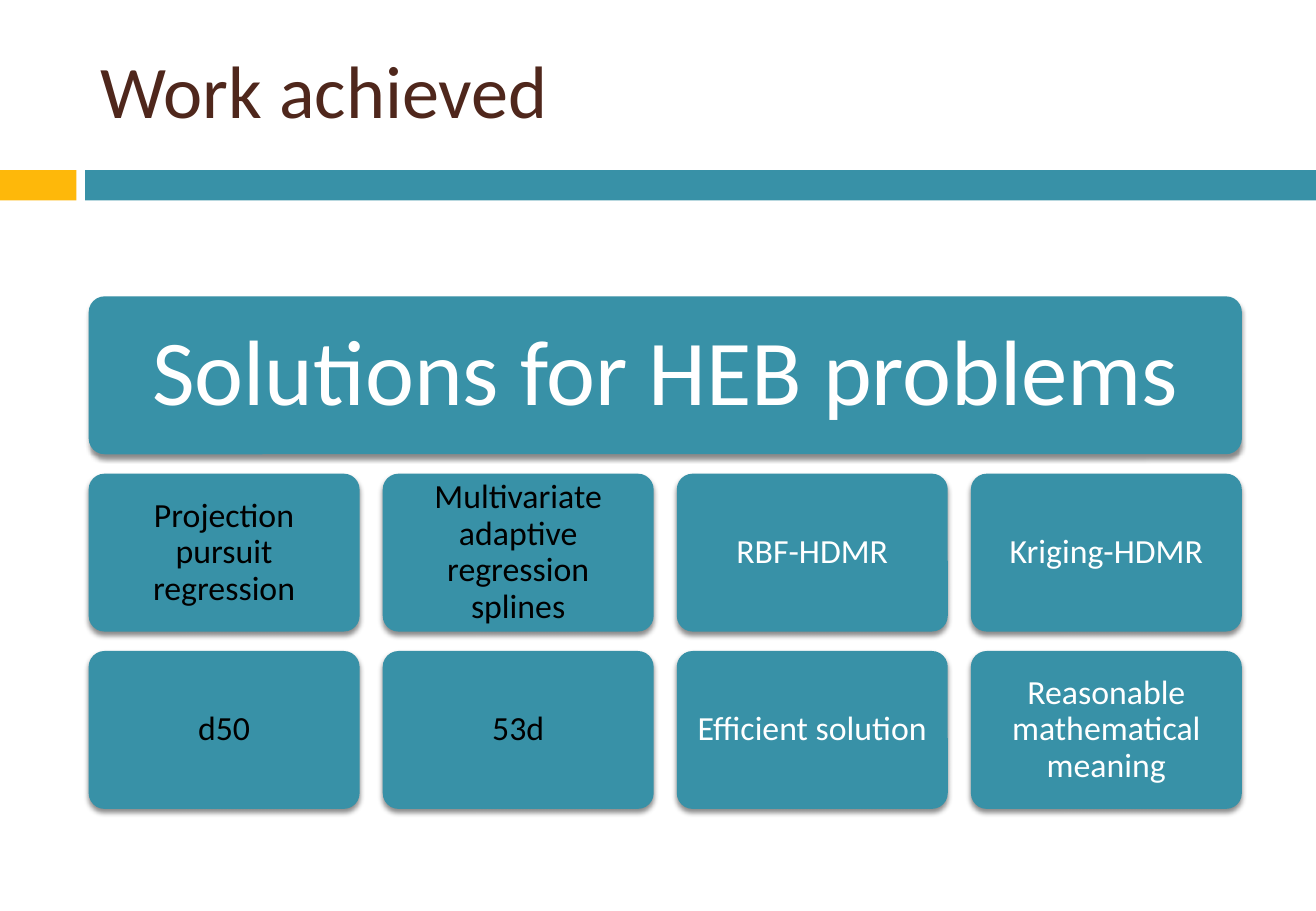
from dataclasses import dataclass

from lxml.etree import SubElement
from pptx import Presentation
from pptx.dml.color import RGBColor
from pptx.enum.shapes import MSO_SHAPE as Preset
from pptx.enum.text import MSO_ANCHOR as Anchor, PP_ALIGN as Align
from pptx.oxml.ns import qn
from pptx.shapes.autoshape import Shape
from pptx.slide import Slide
from pptx.text.text import TextFrame
from pptx.util import Inches, Pt

COLORS = {
    "gold": "FEB80A",
    "teal": "3891A7",
    "brown": "4F271C",
    "black": "000000",
    "white": "FFFFFF",
}
FONT = "Calibri"

GRID_LEFT, GRID_TOP = 0.73, 2.44
CARD_WIDTH, CARD_HEIGHT = 2.23, 1.3
COLUMN_STEP, ROW_STEP = 2.42, 1.46
BANNER_WIDTH = 9.49


@dataclass(frozen=True)
class Box:
    left: float
    top: float
    width: float
    height: float

    def emu(self) -> tuple[int, ...]:
        return tuple(Inches(v) for v in (self.left, self.top, self.width, self.height))


@dataclass(frozen=True)
class Card:
    text: str
    box: Box
    color: str
    size: int = 20
    inset: float = 0.08


@dataclass(frozen=True)
class Method:
    name: str
    result: str
    color: str


METHODS = [
    Method("Projection pursuit regression", "d50", "black"),
    Method("Multivariate adaptive regression splines", "53d", "black"),
    Method("RBF-HDMR", "Efficient solution", "white"),
    Method("Kriging-HDMR", "Reasonable mathematical meaning", "white"),
]


def rgb(name: str) -> RGBColor:
    return RGBColor.from_string(COLORS[name])


def set_format(target: object, values: dict[str, object]) -> None:
    for name, value in values.items():
        setattr(target, name, value)


def write_text(frame: TextFrame, text: str, size: int, color: str,
               align: Align, spacing: float = 1.0) -> None:
    frame.text = text
    set_format(frame, {"word_wrap": True, "vertical_anchor": Anchor.MIDDLE})
    paragraph = frame.paragraphs[0]
    set_format(paragraph, {"alignment": align, "line_spacing": spacing})
    font = paragraph.runs[0].font
    set_format(font, {"name": FONT, "size": Pt(size)})
    font.color.rgb = rgb(color)


def add_block(slide: Slide, preset: Preset, box: Box, color: str) -> Shape:
    """Add a filled shape with neither outline nor shadow."""
    block = slide.shapes.add_shape(preset, *box.emu())
    block.shadow.inherit = False
    block.fill.solid()
    block.fill.fore_color.rgb = rgb(color)
    block.line.fill.background()
    return block


def add_drop_shadow(block: Shape) -> None:
    effects = block._element.spPr.find(qn("a:effectLst"))
    shadow = SubElement(effects, qn("a:outerShdw"), blurRad=str(Pt(3)),
                        dist=str(Pt(2.4)), dir="5400000", rotWithShape="0")
    tint = SubElement(shadow, qn("a:srgbClr"), val=COLORS["black"])
    SubElement(tint, qn("a:alpha"), val="45000")


def add_card(slide: Slide, card: Card) -> None:
    block = add_block(slide, Preset.ROUNDED_RECTANGLE, card.box, "teal")
    block.adjustments[0] = 0.1
    add_drop_shadow(block)
    sides = ("left", "top", "right", "bottom")
    set_format(block.text_frame,
               {f"margin_{side}": Inches(card.inset) for side in sides})
    write_text(block.text_frame, card.text, card.size, card.color, Align.CENTER, 0.9)


def grid_box(column: int, row: int, width: float = CARD_WIDTH) -> Box:
    return Box(GRID_LEFT + column * COLUMN_STEP, GRID_TOP + row * ROW_STEP,
               width, CARD_HEIGHT)


def add_title(slide: Slide) -> None:
    title = slide.shapes.title
    position = Box(0.73, 0.19, 9.66, 1.08).emu()
    set_format(title, dict(zip(("left", "top", "width", "height"), position)))
    write_text(title.text_frame, "Work achieved", 44, "brown", Align.LEFT)


def main() -> None:
    deck = Presentation()
    set_format(deck, {"slide_width": Inches(10.83), "slide_height": Inches(7.5)})
    slide = deck.slides.add_slide(deck.slide_layouts.get_by_name("Title Only"))

    add_block(slide, Preset.RECTANGLE, Box(0, 1.4, 0.63, 0.25), "gold")
    add_block(slide, Preset.RECTANGLE, Box(0.7, 1.4, 10.13, 0.25), "teal")
    add_title(slide)

    add_card(slide, Card("Solutions for HEB problems",
                         grid_box(0, 0, BANNER_WIDTH), "white", 55, 0.23))
    for column, method in enumerate(METHODS):
        for row, text in enumerate((method.name, method.result), start=1):
            add_card(slide, Card(text, grid_box(column, row), method.color))

    deck.save("out.pptx")


if __name__ == "__main__":
    main()
